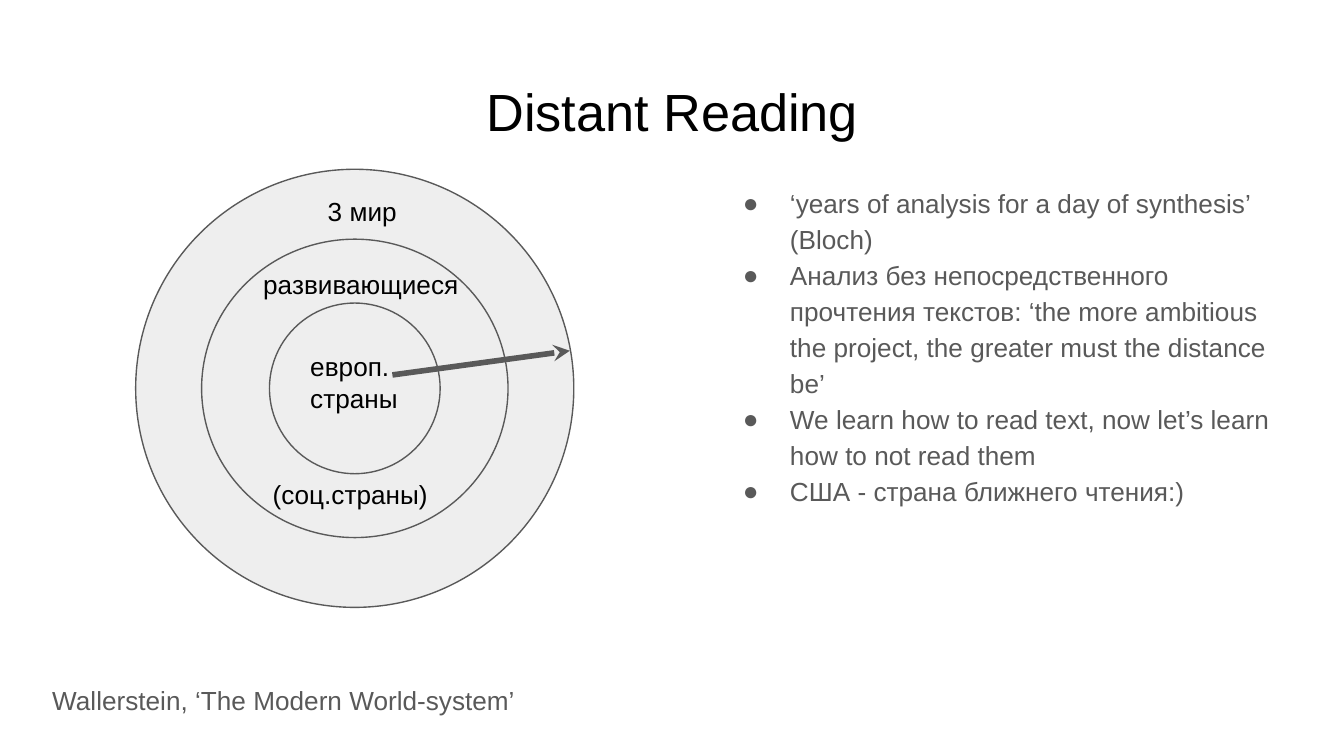
from lxml.etree import SubElement
from pptx import Presentation
from pptx.dml.color import RGBColor
from pptx.enum.shapes import MSO_CONNECTOR, MSO_SHAPE
from pptx.enum.text import MSO_ANCHOR, PP_ALIGN
from pptx.oxml.ns import qn
from pptx.util import Inches, Pt

# Content: boxes are left, top, width, height in inches
SLIDE_WIDTH = 10
SLIDE_HEIGHT = SLIDE_WIDTH * 9 / 16
FONT, BLACK, GREY, PALE = "Arial", "000000", "595959", "EEEEEE"
TITLE = ("Distant Reading", (0.34, 0.49, 9.32, 0.63))
SOURCE = ("Wallerstein, ‘The Modern World-system’", (0.29, 4.96, 4.37, 0.41))
BULLETS_BOX = (5.28, 1.26, 4.37, 3.74)
BULLETS = [
    "‘years of analysis for a day of synthesis’ (Bloch)",
    "Анализ без непосредственного прочтения текстов: ‘the more ambitious "
    "the project, the greater must the distance be’",
    "We learn how to read text, now let’s learn how to not read them",
    "США - страна ближнего чтения:)",
]
RINGS_CENTER = (2.64, 2.89)
RING_SIZES = [(3.26, 3.26), (2.28, 2.22), (1.27, 1.27)]
RING_LABELS = [
    (["европ.", "страны"], (2.21, 2.51, 1.01, 1.05)),
    (["развивающиеся"], (1.86, 1.9, 1.98, 0.47)),
    (["(соц.страны)"], (1.93, 3.46, 1.42, 0.32)),
    (["3 мир"], (2.34, 1.35, 1.01, 0.32)),
]
ARROW = (2.92, 2.79, 4.24, 2.61)


def color(value):
    return RGBColor.from_string(value)


def inches(values):
    return [Inches(value) for value in values]


def add_text(slide, lines, box, size=14, text_color=BLACK, align=PP_ALIGN.LEFT,
             line_spacing=None, space_after=0):
    frame = slide.shapes.add_textbox(*inches(box)).text_frame
    frame.word_wrap = True
    frame.vertical_anchor = MSO_ANCHOR.TOP
    frame.margin_left = frame.margin_right = Inches(0.1)
    frame.margin_top = frame.margin_bottom = Inches(0.1)
    for index, line in enumerate(lines):
        paragraph = frame.add_paragraph() if index else frame.paragraphs[0]
        paragraph.alignment = align
        paragraph.space_after = Pt(space_after)
        if line_spacing:
            paragraph.line_spacing = line_spacing
        run = paragraph.add_run()
        run.text = line
        run.font.name = FONT
        run.font.size = Pt(size)
        run.font.color.rgb = color(text_color)
    return frame


def add_bullet(paragraph):
    properties = paragraph._p.get_or_add_pPr()
    properties.set("marL", str(Inches(0.5)))
    properties.set("indent", str(Inches(-0.35)))
    bullet_color = SubElement(properties, qn("a:buClr"))
    SubElement(bullet_color, qn("a:srgbClr"), val=GREY)
    SubElement(properties, qn("a:buFont"), typeface=FONT)
    SubElement(properties, qn("a:buChar"), char="●")


presentation = Presentation()
presentation.slide_width = Inches(SLIDE_WIDTH)
presentation.slide_height = Inches(SLIDE_HEIGHT)
slide = presentation.slides.add_slide(presentation.slide_layouts[6])

# Title, source and bullets
title, title_box = TITLE
add_text(slide, [title], title_box, size=28, align=PP_ALIGN.CENTER)
source, source_box = SOURCE
add_text(slide, [source], source_box, text_color=GREY, line_spacing=1.15, space_after=16)
bullets = add_text(slide, BULLETS, BULLETS_BOX, text_color=GREY, line_spacing=1.15)
for paragraph in bullets.paragraphs:
    add_bullet(paragraph)

# Concentric rings, outermost first
center_x, center_y = RINGS_CENTER
for width, height in RING_SIZES:
    box = (center_x - width / 2, center_y - height / 2, width, height)
    ring = slide.shapes.add_shape(MSO_SHAPE.OVAL, *inches(box))
    ring.shadow.inherit = False
    ring.fill.solid()
    ring.fill.fore_color.rgb = color(PALE)
    ring.line.color.rgb = color(GREY)
    ring.line.width = Pt(0.75)
for lines, box in RING_LABELS:
    add_text(slide, lines, box)

# Arrow from the core to the outer ring
arrow = slide.shapes.add_connector(MSO_CONNECTOR.STRAIGHT, *inches(ARROW))
arrow.line.color.rgb = color(GREY)
arrow.line.width = Pt(3)
SubElement(arrow.line._get_or_add_ln(), qn("a:tailEnd"), type="stealth", w="med", len="med")
SubElement(arrow._element.spPr, qn("a:effectLst"))

presentation.save("out.pptx")
